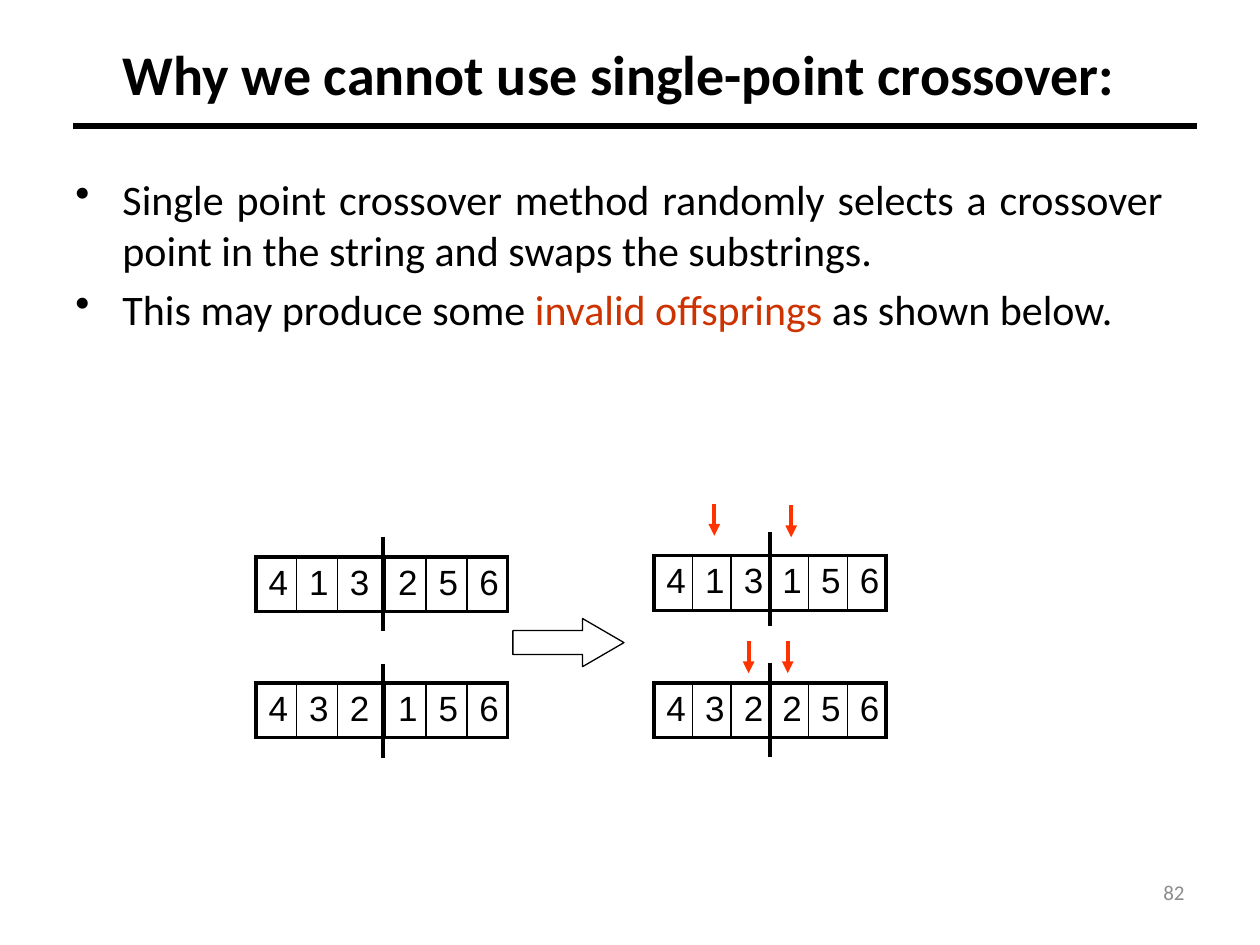
from typing import NamedTuple

from lxml import etree
from pptx import Presentation
from pptx.dml.color import RGBColor
from pptx.enum import shapes, text
from pptx.oxml import ns
from pptx.util import Cm, Pt

BLACK = RGBColor(0, 0, 0)
WHITE = RGBColor(255, 255, 255)
GRAY = RGBColor(0x8C, 0x8C, 0x8C)
RUST = RGBColor(0xCC, 0x33, 0x00)
RED = RGBColor(0xFF, 0x33, 0x00)
THICK, THIN = 2.25, 1


class Genes(NamedTuple):
    """A chromosome with its cut line; lengths in cm."""
    digits: str
    left: float
    top: float
    widths: list[float]
    cut_x: float
    cut_y: float


class Mark(NamedTuple):
    """Top point of a red arrow, in cm."""
    x: float
    y: float


PARENT = [0.82, 0.82, 0.97, 0.82, 0.82, 0.82]
CHILD = [0.78] * 6
GENES = [
    Genes("413256", 5.16, 11.23, PARENT, 7.72, 10.82),
    Genes("432156", 5.16, 13.77, PARENT, 7.72, 13.39),
    Genes("413156", 13.18, 11.2, CHILD, 15.52, 10.72),
    Genes("432256", 13.18, 13.77, CHILD, 15.52, 13.36),
]
MARKS = [Mark(14.4, 10.16), Mark(15.95, 10.19),
         Mark(15.88, 12.93), Mark(15.09, 12.93)]
POINTS = [
    [("Single point crossover method randomly selects a crossover point "
      "in the string and swaps the substrings.", BLACK)],
    [("This may produce some ", BLACK), ("invalid offsprings", RUST),
     (" as shown below.", BLACK)],
]


def add_box(slide, left: float, top: float, width: float, height: float):
    """Add a wrapping text box and return its frame."""
    box = slide.shapes.add_textbox(Cm(left), Cm(top), Cm(width), Cm(height))
    box.text_frame.word_wrap = True
    return box.text_frame


def set_font(par, size: float, color: RGBColor, name: str = "Calibri") -> None:
    """Set the font of a paragraph."""
    par.font.size, par.font.name = Pt(size), name
    par.font.color.rgb = color


def add_line(slide, x1: float, y1: float, x2: float, y2: float,
             color: RGBColor, width: float, head: bool = False) -> None:
    """Draw a straight line, with an arrowhead at its end if asked."""
    line = slide.shapes.add_connector(
        shapes.MSO_CONNECTOR.STRAIGHT, Cm(x1), Cm(y1), Cm(x2), Cm(y2))
    line.line.color.rgb, line.line.width = color, Pt(width)
    if head:
        etree.SubElement(line.line._get_or_add_ln(), ns.qn("a:tailEnd"),
                         type="triangle")
    etree.SubElement(line._element.spPr, ns.qn("a:effectLst"))


def set_edges(cell, widths: dict[str, float]) -> None:
    """Give a cell black borders, keyed by side in schema order."""
    props = cell._tc.get_or_add_tcPr()
    for spot, (side, width) in enumerate(widths.items()):
        edge = etree.Element(ns.qn(f"a:ln{side}"), w=str(Pt(width)))
        fill = etree.SubElement(edge, ns.qn("a:solidFill"))
        etree.SubElement(fill, ns.qn("a:srgbClr"), val=str(BLACK))
        props.insert(spot, edge)


def add_genes(slide, genes: Genes) -> None:
    """Draw a chromosome as a one-row table, and its cut line."""
    count = len(genes.digits)
    table = slide.shapes.add_table(
        1, count, Cm(genes.left), Cm(genes.top),
        Cm(sum(genes.widths)), Cm(1.09)).table
    table.first_row = table.horz_banding = False
    for col, (digit, width) in enumerate(zip(genes.digits, genes.widths)):
        table.columns[col].width = Cm(width)
        cell = table.cell(0, col)
        cell.text = digit
        cell.margin_right = 0
        set_font(cell.text_frame.paragraphs[0], 20, BLACK, "Arial")
        cell.fill.background()
        set_edges(cell, {"L": THIN if col else THICK,
                         "R": THIN if col < count - 1 else THICK,
                         "T": THICK, "B": THICK})
    add_line(slide, genes.cut_x, genes.cut_y, genes.cut_x, genes.cut_y + 1.9,
             BLACK, THICK)


def add_title(slide) -> None:
    """Write the title and the rule below it."""
    frame = add_box(slide, 1.27, 0.43, 22.43, 3.45)
    frame.vertical_anchor = text.MSO_ANCHOR.MIDDLE
    frame.margin_bottom = Cm(1.5)
    par = frame.paragraphs[0]
    par.text = "Why we cannot use single-point crossover:"
    par.alignment = text.PP_ALIGN.CENTER
    set_font(par, 32, BLACK)
    par.font.bold = True
    add_line(slide, 1.47, 2.54, 24.13, 2.54, BLACK, 3)


def add_body(slide) -> None:
    """Write the bullet points."""
    frame = add_box(slide, 1.27, 3.38, 22.43, 5.28)
    for index, parts in enumerate(POINTS):
        par = frame.add_paragraph() if index else frame.paragraphs[0]
        par.alignment = text.PP_ALIGN.JUSTIFY
        par.space_before = Pt(4.8)
        set_font(par, 24, BLACK)
        props = par._p.get_or_add_pPr()
        props.set("marL", str(Cm(0.95)))
        props.set("indent", str(-Cm(0.95)))
        bullet = etree.Element(ns.qn("a:buChar"), char="•")
        props.find(ns.qn("a:defRPr")).addprevious(bullet)
        for words, color in parts:
            run = par.add_run()
            run.text = words
            run.font.color.rgb = color


def add_number(slide) -> None:
    """Write the page number."""
    frame = add_box(slide, 18.21, 17.35, 5.92, 1.27)
    frame.vertical_anchor = text.MSO_ANCHOR.MIDDLE
    par = frame.paragraphs[0]
    par.text = "82"
    par.alignment = text.PP_ALIGN.RIGHT
    set_font(par, 12, GRAY)


def add_arrow(slide) -> None:
    """Draw the block arrow from parents to children."""
    arrow = slide.shapes.add_shape(
        shapes.MSO_SHAPE.RIGHT_ARROW, Cm(10.34), Cm(12.47), Cm(2.24), Cm(0.97))
    arrow.adjustments[0], arrow.adjustments[1] = 0.5, 0.86
    arrow.shadow.inherit = False
    arrow.fill.solid()
    arrow.fill.fore_color.rgb = WHITE
    arrow.line.color.rgb, arrow.line.width = BLACK, Pt(0.75)


def main() -> None:
    """Build and save the slide."""
    deck = Presentation()
    deck.slide_width, deck.slide_height = Cm(25.4), Cm(19.05)
    slide = deck.slides.add_slide(deck.slide_layouts[6])
    add_number(slide)
    add_title(slide)
    add_body(slide)
    add_arrow(slide)
    for genes in GENES:
        add_genes(slide, genes)
    for mark in MARKS:
        add_line(slide, mark.x, mark.y, mark.x, mark.y + 0.64, RED, THICK, True)
    deck.save("out.pptx")


main()
